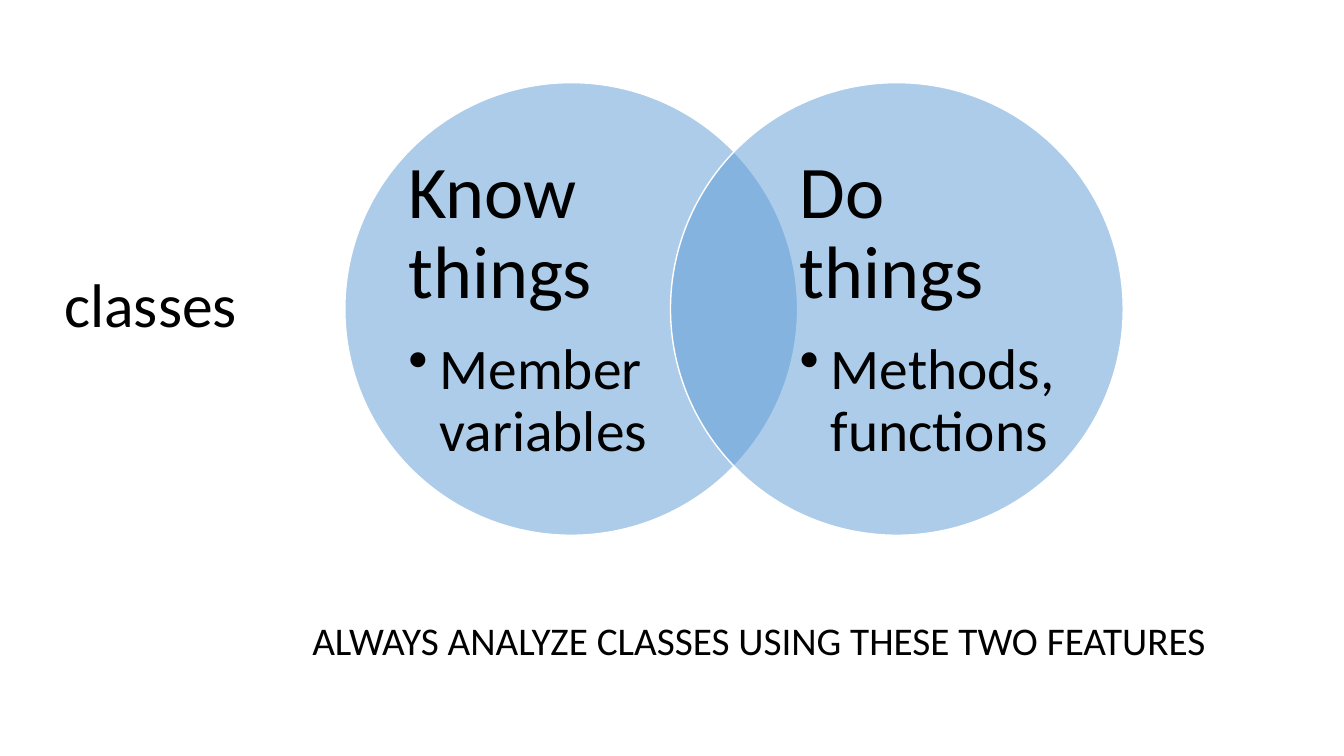
from lxml import etree
from pptx import Presentation
from pptx.dml.color import RGBColor
from pptx.enum import shapes, text
from pptx.oxml.ns import qn
from pptx.util import Inches, Pt

FONT = "Calibri"
COLORS = {"text": "000000", "circle": "5B9BD5", "outline": "FFFFFF"}

TITLE = "classes"
FOOTER = "ALWAYS ANALYZE CLASSES USING THESE TWO FEATURES"
# heading, bullet, circle left, text left
FEATURES = [
    ("Know things", "Member variables", 3.42, 4.05),
    ("Do things", "Methods, functions", 6.65, 7.93),
]
CIRCLE_TOP, DIAMETER = 0.82, 4.49
TEXT_WIDTH, TEXT_HEIGHT = 2.59, 3.43
TEXT_TOP = CIRCLE_TOP + (DIAMETER - TEXT_HEIGHT) / 2
BULLET_INDENT = 0.31


def color(name):
    return RGBColor.from_string(COLORS[name])


def style(para, size, spacing=None):
    para.line_spacing = spacing
    para.font.name = FONT
    para.font.size = Pt(size)
    para.font.color.rgb = color("text")


def add_box(page, left, top, width, height, anchor=text.MSO_ANCHOR.MIDDLE):
    box = page.shapes.add_textbox(*map(Inches, (left, top, width, height)))
    frame = box.text_frame
    frame.word_wrap = True
    frame.vertical_anchor = anchor
    return frame


def add_circle(page, left):
    """Draw a half-transparent circle, so the overlap shows darker."""
    circle = page.shapes.add_shape(
        shapes.MSO_SHAPE.OVAL,
        *map(Inches, (left, CIRCLE_TOP, DIAMETER, DIAMETER)))
    circle.shadow.inherit = False
    circle.fill.solid()
    circle.fill.fore_color.rgb = color("circle")
    rgb = circle.fill._xPr.find(".//" + qn("a:srgbClr"))
    etree.SubElement(rgb, qn("a:alpha"), val="50000")
    circle.line.color.rgb = color("outline")
    circle.line.width = Pt(1)


def add_bullet(para):
    props = para._p.get_or_add_pPr()
    props.set("marL", str(Inches(BULLET_INDENT)))
    props.set("indent", str(-Inches(BULLET_INDENT)))
    etree.SubElement(props, qn("a:buChar"), char="•")


def add_feature_text(page, left, heading, detail):
    frame = add_box(page, left, TEXT_TOP, TEXT_WIDTH, TEXT_HEIGHT)
    frame.margin_left = frame.margin_right = 0
    frame.margin_top = frame.margin_bottom = 0
    para = frame.paragraphs[0]
    para.text = heading
    style(para, 53, 0.9)
    para.space_after = Pt(18)
    para = frame.add_paragraph()
    para.text = detail
    para.level = 1
    add_bullet(para)
    style(para, 41, 0.9)
    para.space_after = Pt(6)


def main():
    deck = Presentation()
    deck.slide_width, deck.slide_height = Inches(13.33), Inches(7.5)
    page = deck.slides.add_slide(deck.slide_layouts[6])

    title = add_box(page, 0.54, 2.33, 2.46, 1.45).paragraphs[0]
    title.text = TITLE
    style(title, 44, 0.9)

    for heading, detail, circle_left, text_left in FEATURES:
        add_circle(page, circle_left)
        add_feature_text(page, text_left, heading, detail)

    footer = add_box(page, 3, 6.07, 9.2, 0.57, text.MSO_ANCHOR.TOP).paragraphs[0]
    footer.text = FOOTER
    style(footer, 28)

    deck.save("out.pptx")


if __name__ == "__main__":
    main()
